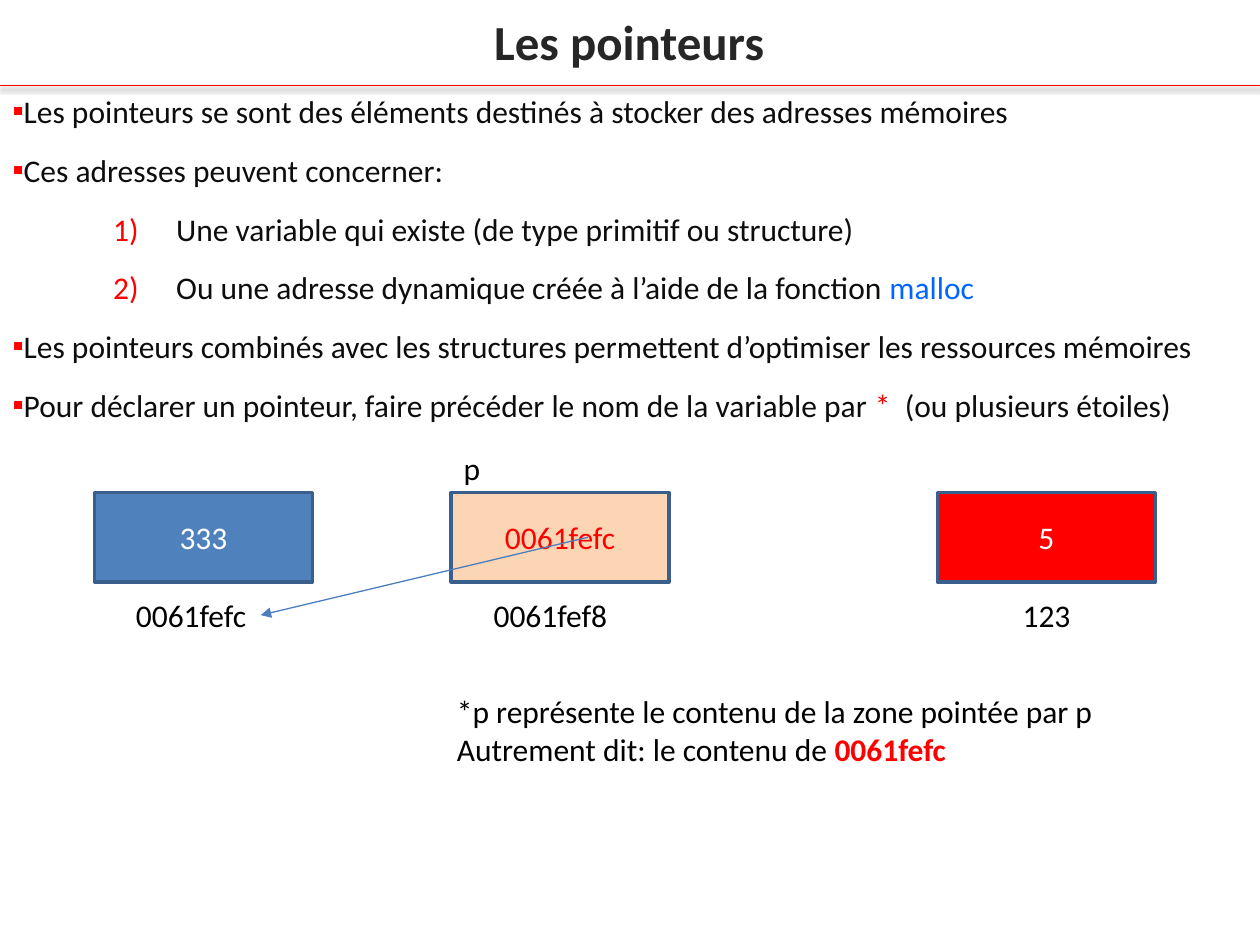
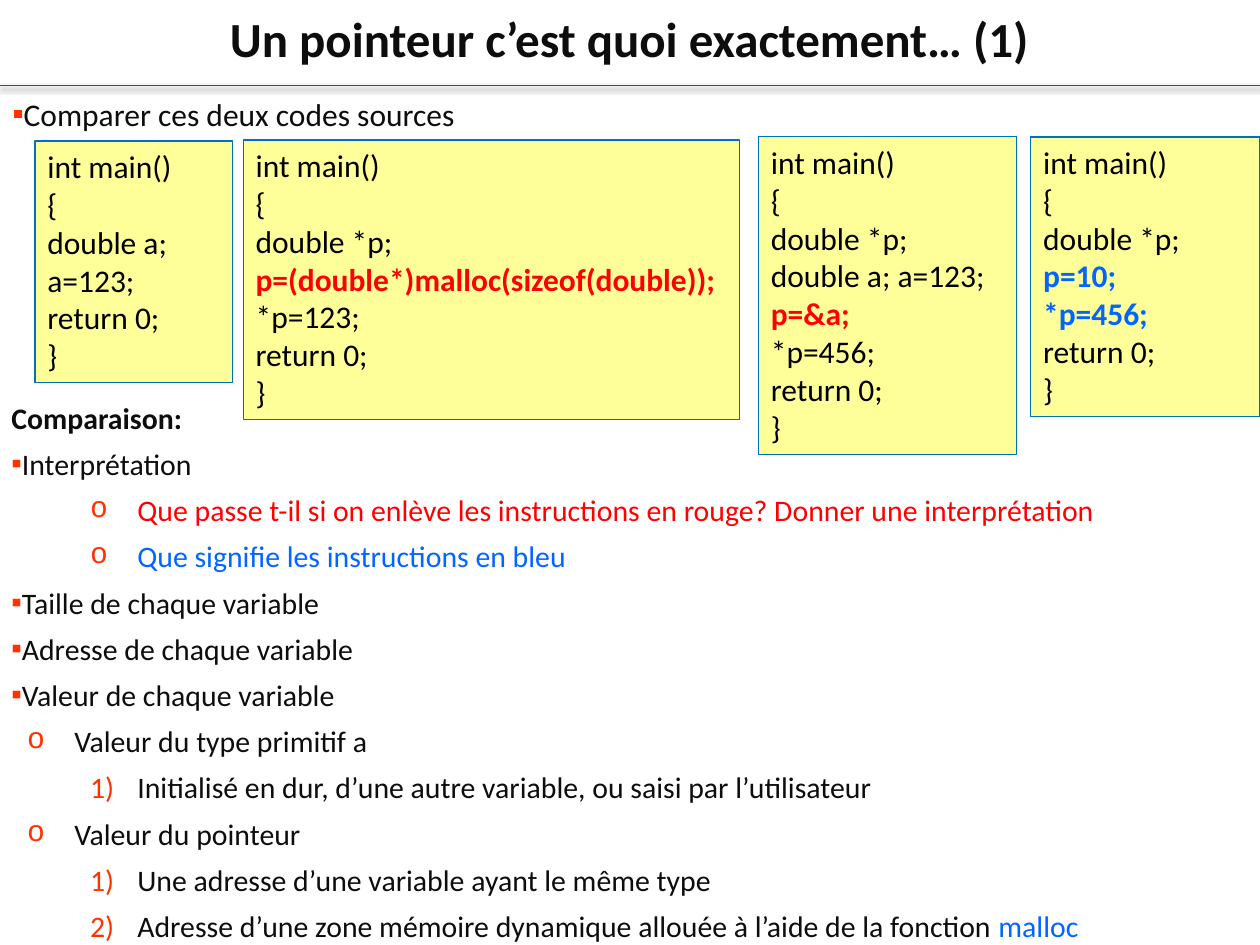
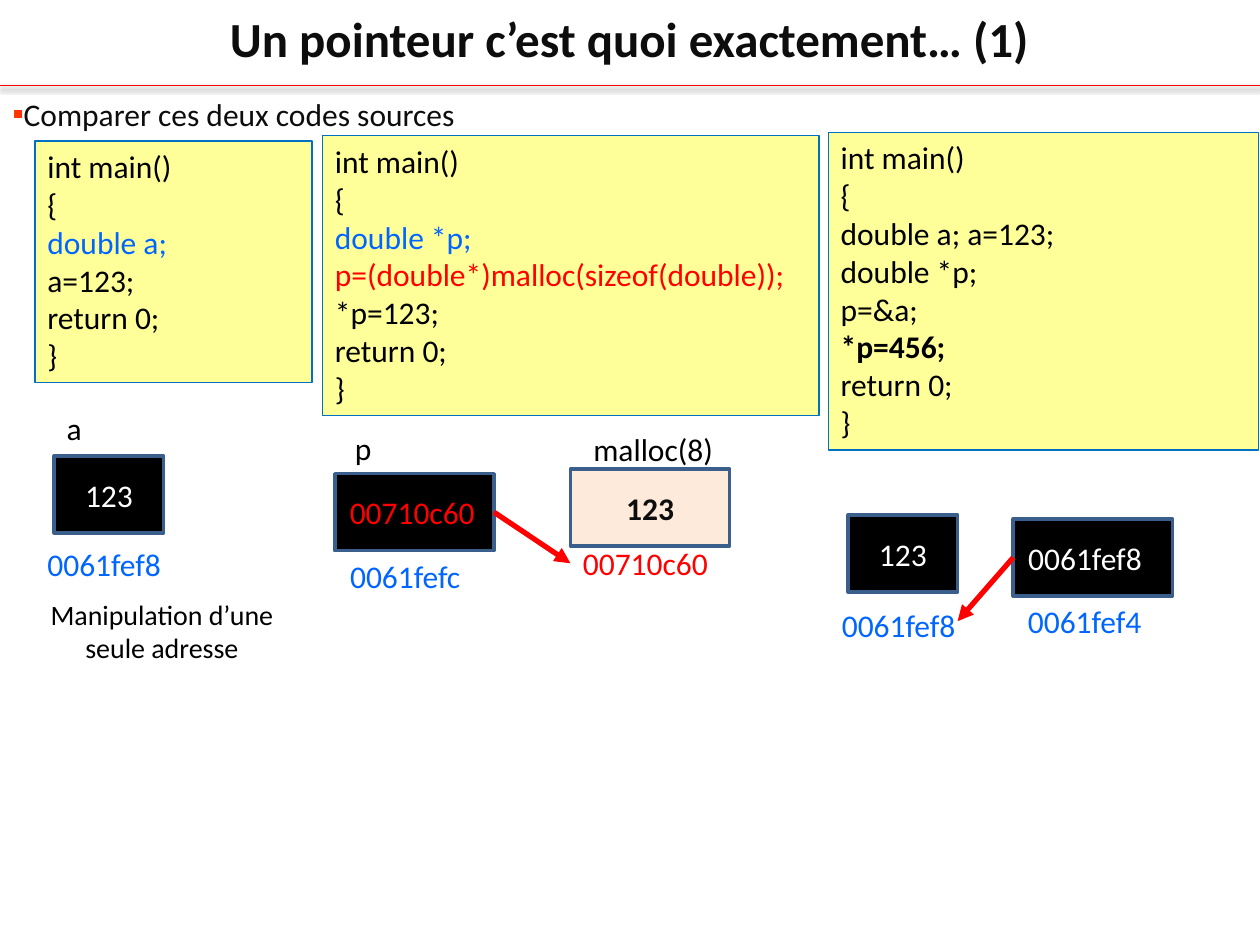
from collections import namedtuple

from lxml import etree
from pptx import Presentation
from pptx.dml.color import RGBColor
from pptx.enum.shapes import MSO_CONNECTOR, MSO_SHAPE
from pptx.enum.text import MSO_ANCHOR, MSO_AUTO_SIZE, PP_ALIGN
from pptx.oxml.ns import qn
from pptx.util import Pt

BLACK = RGBColor(0x00, 0x00, 0x00)
WHITE = RGBColor(0xFF, 0xFF, 0xFF)
INK = RGBColor(0x0D, 0x0D, 0x0D)
GREY = RGBColor(0x26, 0x26, 0x26)
RED = RGBColor(0xFF, 0x00, 0x00)
ORANGE = RGBColor(0xFF, 0x33, 0x00)
BLUE = RGBColor(0x00, 0x66, 0xFF)
STEEL = RGBColor(0x4F, 0x81, 0xBD)
EDGE = RGBColor(0x3A, 0x5F, 0x8C)
ARROW = RGBColor(0x4B, 0x7E, 0xBC)
PEACH = RGBColor(0xFC, 0xD5, 0xB5)
CREAM = RGBColor(0xFD, 0xEA, 0xDA)
YELLOW = RGBColor(0xFF, 0xFF, 0x99)
FRAME = RGBColor(0x00, 0x70, 0xC0)

RECT = MSO_SHAPE.RECTANGLE
LINE = MSO_CONNECTOR.STRAIGHT
LEFT, CENTER = PP_ALIGN.LEFT, PP_ALIGN.CENTER
TOP, MIDDLE = MSO_ANCHOR.TOP, MSO_ANCHOR.MIDDLE
NO_FIT = MSO_AUTO_SIZE.NONE

FONT = "Calibri"
ROW = 21.8  # height of one line of code
ONE, TWO = 1, 3  # layouts with one and two lists

# sign: "" for none, "1)" for numbers; left and hang in points
Mark = namedtuple("Mark", "sign left hang level color")
MAIN = Mark("▪", 3, -17, 0, RED)
CASE = Mark("1)", 93.5, -36, 2, RED)
PLAIN = Mark("", 0, 0, 1, ORANGE)
ITEM = Mark("▪", 0, -27, 1, ORANGE)
SUB = Mark("o", 36, -27, 2, ORANGE)
ASK = Mark("o", 72, -27, 3, ORANGE)
STEP = Mark("1)", 72, -27, 3, ORANGE)

PROMPT = [(ITEM, "Comparer ces deux codes sources")]


def add_mark(para, mark):
    para.level = mark.level
    props = para._p.get_or_add_pPr()
    props.set("marL", str(Pt(mark.left)))
    props.set("indent", str(Pt(mark.hang)))
    if not mark.sign:
        etree.SubElement(props, qn("a:buNone"))
        return
    tint = etree.SubElement(props, qn("a:buClr"))
    etree.SubElement(tint, qn("a:srgbClr"), val=str(mark.color))
    face = "Courier New" if mark.sign == "o" else FONT
    etree.SubElement(props, qn("a:buFont"), typeface=face)
    if mark.sign == "1)":
        etree.SubElement(props, qn("a:buAutoNum"), type="arabicParenR")
    else:
        etree.SubElement(props, qn("a:buChar"), char=mark.sign)


def write(shape, paras, size=18, color=BLACK, bold=False, align=LEFT,
          anchor=TOP, after=0, marks=()):
    """A paragraph is a string or a list of runs (text, colour, bold)."""
    frame = shape.text_frame
    frame.word_wrap = True
    frame.auto_size = NO_FIT
    frame.vertical_anchor = anchor
    for i, runs in enumerate(paras):
        para = frame.add_paragraph() if i else frame.paragraphs[0]
        if marks:
            add_mark(para, marks[i])
        para.alignment = align
        para.space_before, para.space_after = Pt(0), Pt(after)
        for part in [(runs, color, bold)] if isinstance(runs, str) else runs:
            run = para.add_run()
            run.text = part[0]
            font = run.font
            font.name, font.size = FONT, Pt(size)
            font.color.rgb, font.bold = part[1], part[2]


def place(shape, x, y, w, h):
    shape.left, shape.top = Pt(x), Pt(y)
    shape.width, shape.height = Pt(w), Pt(h)


def bullets(holder, box, items, **form):
    place(holder, *box)
    marks, paras = zip(*items)
    write(holder, paras, color=INK, marks=marks, **form)


def label(slide, x, y, w, text, h=29, **form):
    box = slide.shapes.add_textbox(Pt(x), Pt(y), Pt(w), Pt(h))
    write(box, text if isinstance(text, list) else [text], **form)
    return box


def block(slide, x, y, w, h, fill, line, width):
    shape = slide.shapes.add_shape(RECT, Pt(x), Pt(y), Pt(w), Pt(h))
    shape.shadow.inherit = False
    shape.fill.solid()
    shape.fill.fore_color.rgb = fill
    shape.line.color.rgb = line
    shape.line.width = Pt(width)
    return shape


def cell(slide, x, y, w, h, text, fill=BLACK, color=WHITE, align=CENTER, bold=False):
    """A memory cell with its value."""
    shape = block(slide, x, y, w, h, fill, EDGE, 2)
    if align == LEFT:
        shape.text_frame.margin_left = Pt(8.6)
    write(shape, [text], color=color, align=align, anchor=MIDDLE, bold=bold)
    return shape


def code(slide, x, y, w, lines):
    shape = block(slide, x, y, w, ROW * len(lines) + 7.2, YELLOW, FRAME, 0.75)
    write(shape, lines)


def connect(slide, x1, y1, x2, y2, color, width):
    line = slide.shapes.add_connector(LINE, Pt(x1), Pt(y1), Pt(x2), Pt(y2))
    line.line.color.rgb = color
    line.line.width = Pt(width)
    effects = etree.SubElement(line._element.spPr, qn("a:effectLst"))
    return line, effects


def arrow(slide, *ends, color=RED, width=3):
    line, _ = connect(slide, *ends, color, width)
    etree.SubElement(line.line._get_or_add_ln(), qn("a:tailEnd"), type="triangle")
    return line


def rule(slide):
    """The line under the title, with its soft shadow."""
    _, effects = connect(slide, 0, 49, 720, 49, RED, 0.5)
    shade = etree.SubElement(effects, qn("a:outerShdw"), blurRad=str(Pt(3.1)),
                             dist=str(Pt(1.6)), dir="5400000", rotWithShape="0")
    tint = etree.SubElement(shade, qn("a:srgbClr"), val="000000")
    etree.SubElement(tint, qn("a:alpha"), val="38000")


def start(deck, title, layout=ONE, y=1.5, color=INK):
    slide = deck.slides.add_slide(deck.slide_layouts[layout])
    place(slide.shapes.title, 0, y, 719, 41)
    write(slide.shapes.title, [title], size=28, color=color, bold=True, align=CENTER)
    rule(slide)
    return slide


def intro(deck):
    slide = start(deck, "Les pointeurs", y=3, color=GREY)
    bullets(slide.placeholders[1], (0, 49, 717, 199), [
        (MAIN, "Les pointeurs se sont des éléments destinés à stocker des adresses mémoires"),
        (MAIN, "Ces adresses peuvent concerner:"),
        (CASE, "Une variable qui existe (de type primitif ou structure)"),
        (CASE, [("Ou une adresse dynamique créée à l’aide de la fonction ", INK, False),
                ("malloc", BLUE, False)]),
        (MAIN, "Les pointeurs combinés avec les structures permettent "
               "d’optimiser les ressources mémoires"),
        (MAIN, [("Pour déclarer un pointeur, faire précéder le nom de la variable par ",
                 INK, False), ("*", RED, False), ("  (ou plusieurs étoiles)", INK, False)]),
    ], after=12)
    for x, text, fill, color in [(54, "333", STEEL, WHITE),
                                 (257.8, "0061fefc", PEACH, RED),
                                 (535.7, "5", RED, WHITE)]:
        cell(slide, x, 281.5, 124.6, 51, text, fill, color)
    label(slide, 70.6, 337, 91, "0061fefc")
    label(slide, 275, 337, 91, "0061fef8")
    label(slide, 561, 337, 74, "123", align=CENTER)
    arrow(slide, 336, 307, 149, 351.5, color=ARROW, width=0.75)
    label(slide, 257.8, 253, 68, "p")
    label(slide, 254, 392, 406, [
        "*p représente le contenu de la zone pointée par p",
        [("Autrement dit: le contenu de ", BLACK, False), ("0061fefc", RED, True)],
    ], h=51)


def compare(deck):
    slide = start(deck, "Un pointeur c’est quoi exactement… (1)", TWO)
    bullets(slide.placeholders[1], (0, 50.4, 720, 29), PROMPT, after=6)
    bullets(slide.placeholders[2], (-0.7, 224.6, 720, 321), [
        (PLAIN, [("Comparaison:", INK, True)]),
        (ITEM, "Interprétation"),
        (ASK, [("Que passe t-il si on enlève les instructions en rouge? "
                "Donner une interprétation", RED, False)]),
        (ASK, [("Que signifie les instructions en bleu", BLUE, False)]),
        (ITEM, "Taille de chaque variable"),
        (ITEM, "Adresse de chaque variable"),
        (ITEM, "Valeur de chaque variable"),
        (SUB, "Valeur du type primitif a"),
        (STEP, "Initialisé en dur, d’une autre variable, ou saisi par l’utilisateur"),
        (SUB, "Valeur du pointeur"),
        (STEP, "Une adresse d’une variable ayant le même type"),
        (STEP, [("Adresse d’une zone mémoire dynamique allouée à l’aide de la fonction ",
                 INK, False), ("malloc", BLUE, False)]),
    ], size=17, after=6)
    code(slide, 139, 80, 283.7, [
        "int main()", "{", "double *p;",
        [("p=(double*)malloc(sizeof(double));", RED, True)],
        "*p=123;", "return 0;", "}"])
    code(slide, 20, 80.6, 113, [
        "int main()", "{", "double a;", "a=123;", "return 0;", "}"])
    code(slide, 433.4, 78.2, 147.6, [
        "int main()", "{", "double *p;", "double a; a=123;",
        [("p=&a;", RED, True)], "*p=456;", "return 0;", "}"])
    code(slide, 589, 78.2, 131, [
        "int main()", "{", "double *p;", [("p=10;", BLUE, True)],
        [("*p=456;", BLUE, True)], "return 0;", "}"])


def memory(deck):
    slide = start(deck, "Un pointeur c’est quoi exactement… (1)")
    bullets(slide.placeholders[1], (0, 50.4, 720, 29), PROMPT, after=6)
    code(slide, 184.3, 77.6, 283.7, [
        "int main()", "{", [("double *p;", BLUE, False)],
        [("p=(double*)malloc(sizeof(double));", RED, False)],
        "*p=123;", "return 0;", "}"])
    code(slide, 20, 80.6, 158.4, [
        "int main()", "{", [("double a;", BLUE, False)], "a=123;", "return 0;", "}"])
    code(slide, 473.3, 75.6, 245.7, [
        "int main()", "{", "double a; a=123;", "double *p;", "p=&a;",
        [("*p=456;", BLACK, True)], "return 0;", "}"])

    cell(slide, 31, 260.6, 62.6, 44, "123")
    heap = cell(slide, 191.3, 270.7, 91, 44, "00710c60", color=RED, align=LEFT)
    cell(slide, 326, 268, 91, 44, "123", CREAM, INK, bold=True)
    cell(slide, 484.7, 294.3, 62.6, 44, "123")
    local = cell(slide, 579, 296.6, 91, 44, "0061fef8", align=LEFT)

    for x, y, w, text in [(20, 308, 91, "0061fef8"), (193, 314.6, 80, "0061fefc"),
                          (474, 342.7, 91, "0061fef8"), (580.3, 340.6, 80, "0061fef4")]:
        label(slide, x, y, w, text, color=BLUE)
    target = label(slide, 326, 307.4, 91, "00710c60", color=RED)
    for x, y, w, text in [(31, 230.4, 62.6, "a"), (195.8, 241.4, 62.6, "p"),
                          (332, 242, 91, "malloc(8)")]:
        label(slide, x, y, w, text)
    label(slide, 18.7, 337.7, 147.6, "Manipulation d’une seule adresse",
          h=46, size=16, align=CENTER)

    link = arrow(slide, 282.3, 292.7, 326, 321.9)
    link.begin_connect(heap, 3)
    link.end_connect(target, 1)
    link = arrow(slide, 579, 318.6, 547.2, 355)
    link.begin_connect(local, 1)


def main():
    deck = Presentation()
    deck.slide_width, deck.slide_height = Pt(720), Pt(540)
    intro(deck)
    compare(deck)
    memory(deck)
    deck.save("out.pptx")


if __name__ == "__main__":
    main()
